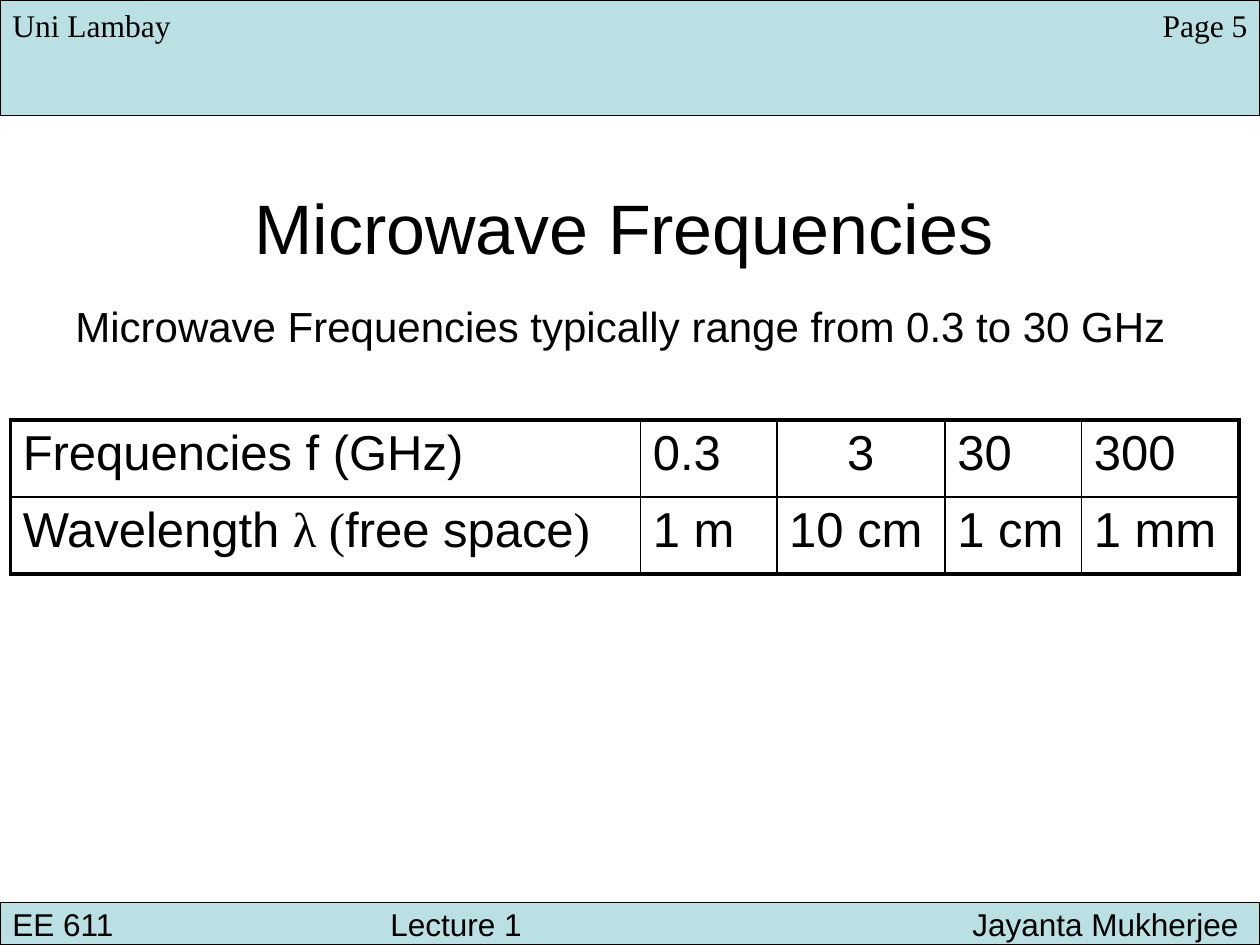
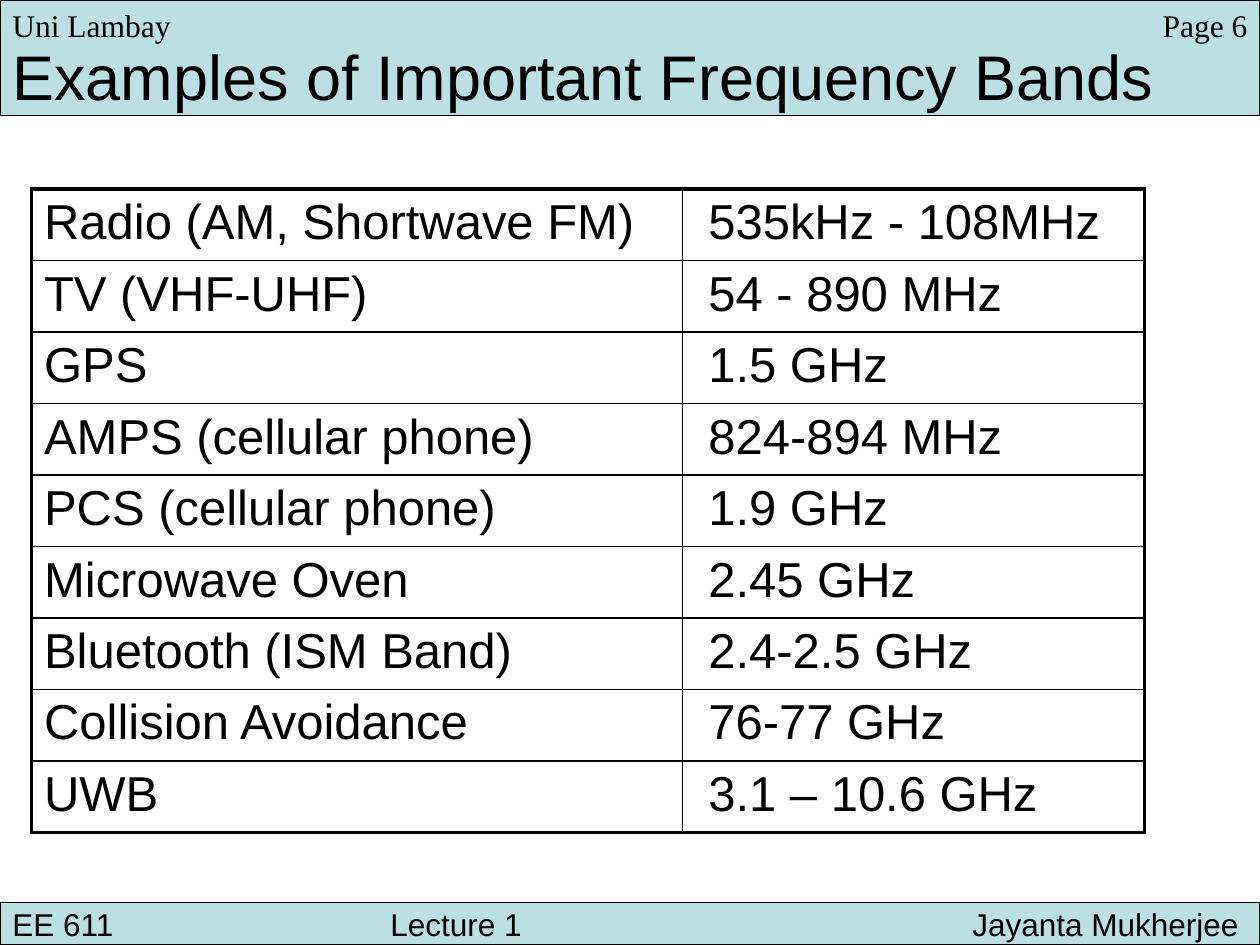
from collections import namedtuple

from lxml import etree
from pptx import Presentation
from pptx import util as u
from pptx.dml.color import RGBColor
from pptx.enum import shapes, text
from pptx.oxml import ns

COLOURS = {"band": "BBE0E3", "ink": "000000"}
SANS, SERIF = "Arial", "Times New Roman"
SLIDE_WIDTH, SLIDE_HEIGHT = 25.4, 19.05
HEADER_HEIGHT, FOOTER_HEIGHT = 2.33, 0.85
CELL_MARGIN = 0.25
THICK, THIN = 2.25, 1

# All lengths in a box are centimetres
Box = namedtuple("Box", "left top width height")
HEADER = Box(0, 0, SLIDE_WIDTH, HEADER_HEIGHT)
FOOTER = Box(0, SLIDE_HEIGHT - FOOTER_HEIGHT, SLIDE_WIDTH, FOOTER_HEIGHT)

FREQUENCY_ROWS = [
    ["Frequencies f (GHz)", "0.3", "3", "30", "300"],
    [[("Wavelength ", SANS), ("λ (", SERIF), ("free space", SANS), (")", SERIF)],
     "1 m", "10 cm", "1 cm", "1 mm"],
]
BAND_ROWS = [
    ["Radio (AM, Shortwave FM)", "535kHz - 108MHz"],
    ["TV (VHF-UHF)", "54 - 890 MHz"],
    ["GPS", "1.5 GHz"],
    ["AMPS (cellular phone)", "824-894 MHz"],
    ["PCS (cellular phone)", "1.9 GHz"],
    ["Microwave Oven", "2.45 GHz"],
    ["Bluetooth (ISM Band)", "2.4-2.5 GHz"],
    ["Collision Avoidance", "76-77 GHz"],
    ["UWB", "3.1 – 10.6 GHz"],
]


# Shared helpers
def colour(name):
    return RGBColor.from_string(COLOURS[name])


def set_values(target, values):
    for name, value in values.items():
        setattr(target, name, value)


def in_cm(box):
    return [u.Cm(length) for length in box]


def write(paragraph, content, size, font=SANS):
    """Fill a paragraph from a string or a list of (words, font) pairs."""
    runs = [(content, font)] if isinstance(content, str) else content
    for words, name in runs:
        run = paragraph.add_run()
        run.text = words
        set_values(run.font, {"size": u.Pt(size), "name": name})
        run.font.color.rgb = colour("ink")


def add_label(slide, box, content, size, font=SANS, align=text.PP_ALIGN.LEFT):
    shape = slide.shapes.add_textbox(*in_cm(box))
    shape.text_frame.word_wrap = True
    paragraph = shape.text_frame.paragraphs[0]
    paragraph.alignment = align
    write(paragraph, content, size, font)


def add_band(slide, box):
    shape = slide.shapes.add_shape(shapes.MSO_SHAPE.RECTANGLE, *in_cm(box))
    shape.shadow.inherit = False
    shape.fill.solid()
    shape.fill.fore_color.rgb = colour("band")
    shape.line.color.rgb = colour("ink")
    shape.line.width = u.Pt(0.75)
    return shape


# Header and footer
def add_header_labels(slide, box, page):
    add_label(slide, Box(box.left, box.top, 5, 1.02), "Uni Lambay", 18, SERIF)
    page_width = 3
    page_box = Box(box.left + box.width - page_width, box.top, page_width, 1.02)
    add_label(slide, page_box, f"Page {page}", 18, SERIF, text.PP_ALIGN.RIGHT)


def add_footer(slide, box):
    frame = add_band(slide, box).text_frame
    set_values(frame, {"word_wrap": True, "margin_top": 0, "margin_bottom": 0,
                       "vertical_anchor": text.MSO_ANCHOR.MIDDLE})
    paragraph = frame.paragraphs[0]
    paragraph.alignment = text.PP_ALIGN.LEFT
    write(paragraph, "EE 611\tLecture 1\tJayanta Mukherjee", 18)
    tabs = etree.SubElement(paragraph._p.get_or_add_pPr(), ns.qn("a:tabLst"))
    for position, side in ((7.62, "l"), (box.width - 0.68, "r")):
        etree.SubElement(tabs, ns.qn("a:tab"), pos=str(u.Cm(position)), algn=side)


# Ruled table with a thick outer frame
def add_border(cell, index, side, width):
    line = etree.Element(ns.qn(f"a:ln{side}"), w=str(u.Pt(width)))
    fill = etree.SubElement(line, ns.qn("a:solidFill"))
    etree.SubElement(fill, ns.qn("a:srgbClr"), val=COLOURS["ink"])
    cell._tc.get_or_add_tcPr().insert(index, line)


def add_ruled_table(slide, left, top, widths, row_height, rows, indents=(), centred=()):
    """indents maps columns to extra left margin; centred lists (row, column)."""
    box = Box(left, top, sum(widths), row_height * len(rows))
    table = slide.shapes.add_table(len(rows), len(widths), *in_cm(box)).table
    set_values(table, {"first_row": False, "horz_banding": False})
    for column, width in zip(table.columns, widths):
        column.width = u.Cm(width)
    last_row, last_column = len(rows) - 1, len(widths) - 1
    for r, row in enumerate(rows):
        table.rows[r].height = u.Cm(row_height)
        for c, content in enumerate(row):
            cell = table.cell(r, c)
            cell.fill.background()
            cell.margin_left = u.Cm(CELL_MARGIN + dict(indents).get(c, 0))
            outer = {"L": c == 0, "R": c == last_column, "T": r == 0, "B": r == last_row}
            for index, (side, is_outer) in enumerate(outer.items()):
                add_border(cell, index, side, THICK if is_outer else THIN)
            paragraph = cell.text_frame.paragraphs[0]
            paragraph.space_before = u.Pt(1)
            if (r, c) in centred:
                paragraph.alignment = text.PP_ALIGN.CENTER
            write(paragraph, content, 28)


# Slide bodies
def fill_frequencies(slide, header):
    below = header.top + header.height
    add_label(slide, Box(4.88, below + 1.26, 16, 1.96), "Microwave Frequencies", 40)
    add_label(slide, Box(1.27, below + 3.61, 23, 1.27),
              "Microwave Frequencies typically range from 0.3 to 30 GHz", 24)
    add_ruled_table(slide, 0.21, below + 6.14, [12.7, 2.75, 3.39, 2.75, 3.18],
                    1.55, FREQUENCY_ROWS, centred=[(0, 2)])


def fill_bands(slide, header):
    add_label(slide, Box(header.left, header.top + 0.63, header.width, 1.78),
              "Examples of Important Frequency Bands", 36)
    add_ruled_table(slide, 0.64, header.top + header.height + 1.48, [13.12, 9.31],
                    1.44, BAND_ROWS, indents={1: 0.27})


def main():
    presentation = Presentation()
    set_values(presentation, {"slide_width": u.Cm(SLIDE_WIDTH),
                              "slide_height": u.Cm(SLIDE_HEIGHT)})
    for page, fill_body in enumerate((fill_frequencies, fill_bands), start=5):
        slide = presentation.slides.add_slide(presentation.slide_layouts[6])
        add_band(slide, HEADER)
        fill_body(slide, HEADER)
        add_footer(slide, FOOTER)
        add_header_labels(slide, HEADER, page)
    presentation.save("out.pptx")


if __name__ == "__main__":
    main()
